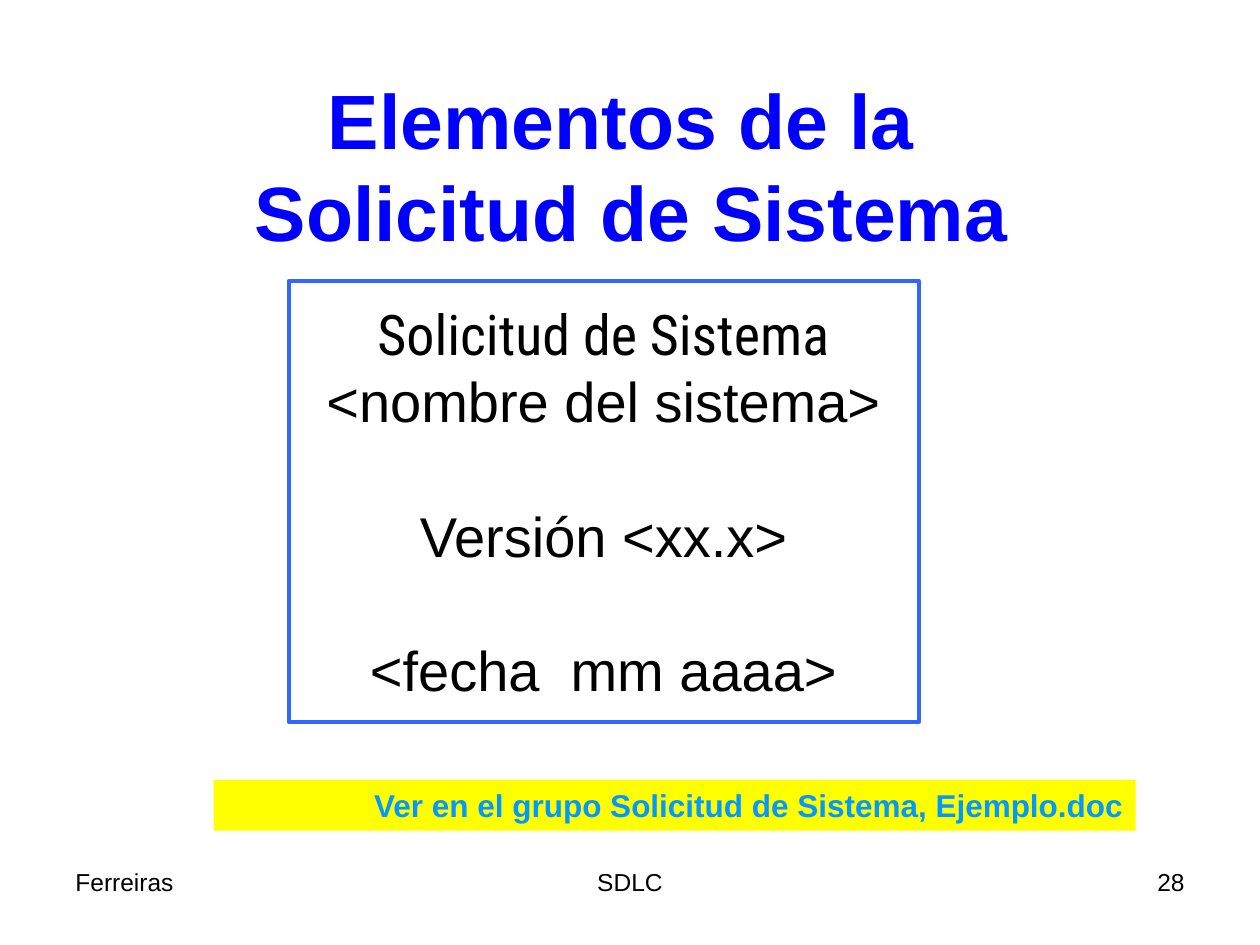
from dataclasses import dataclass
from typing import Optional

from pptx import Presentation
from pptx.dml.color import RGBColor
from pptx.enum.shapes import MSO_SHAPE as Preset
from pptx.enum.text import MSO_ANCHOR as Anchor, PP_ALIGN as Align
from pptx.util import Pt

COLORS = {
    "title": "0000FF",
    "text": "000000",
    "frame": "3366FF",
    "note": "0099FF",
    "note_fill": "FFFF00",
}
LINE_HEIGHT = 1.2


@dataclass(frozen=True)
class Line:
    text: str
    font: str = "Arial"
    gap_lines: int = 0


@dataclass(frozen=True)
class Block:
    left: float
    top: float
    width: float
    height: float
    lines: tuple[Line, ...]
    size: float
    color: str = "text"
    bold: bool = False
    align: Align = Align.CENTER
    anchor: Anchor = Anchor.TOP
    inset: tuple[float, float] = (7.2, 3.6)
    wrap: bool = True
    fill: Optional[str] = None
    border: Optional[str] = None


def rgb(name: str) -> RGBColor:
    return RGBColor.from_string(COLORS[name])


def add_line(paragraph, line: Line, block: Block) -> None:
    pitch = block.size * LINE_HEIGHT
    paragraph.alignment = block.align
    paragraph.line_spacing = Pt(pitch)
    paragraph.space_before = Pt(line.gap_lines * pitch)
    for index, part in enumerate(line.text.split("\n")):
        if index:
            paragraph.add_line_break()
        run = paragraph.add_run()
        run.text = part
        run.font.name = line.font
        run.font.size = Pt(block.size)
        run.font.bold = block.bold
        run.font.color.rgb = rgb(block.color)


def draw_block(slide, block: Block) -> None:
    bounds = [Pt(v) for v in (block.left, block.top, block.width, block.height)]
    if block.fill or block.border:
        shape = slide.shapes.add_shape(Preset.RECTANGLE, *bounds)
        shape.shadow.inherit = False
        if block.fill:
            shape.fill.solid()
            shape.fill.fore_color.rgb = rgb(block.fill)
        else:
            shape.fill.background()
        if block.border:
            shape.line.color.rgb = rgb(block.border)
            shape.line.width = Pt(2.25)
        else:
            shape.line.fill.background()
    else:
        shape = slide.shapes.add_textbox(*bounds)

    frame = shape.text_frame
    frame.word_wrap = block.wrap
    frame.vertical_anchor = block.anchor
    frame.margin_left = frame.margin_right = Pt(block.inset[0])
    frame.margin_top = frame.margin_bottom = Pt(block.inset[1])
    for index, line in enumerate(block.lines):
        paragraph = frame.add_paragraph() if index else frame.paragraphs[0]
        add_line(paragraph, line, block)


def footer(left: float, width: float, text: str, align: Align) -> Block:
    return Block(left, 492, width, 37.5, (Line(text),), 14, align=align)


BLOCKS = (
    Block(31, 49, 648, 90, (Line("Elementos de la\n Solicitud de Sistema"),), 44,
          color="title", bold=True, anchor=Anchor.MIDDLE),
    Block(165, 160.5, 360, 252,
          (Line("Solicitud de Sistema", font="Roboto Condensed"),
           Line("<nombre del sistema>"),
           Line("Versión <xx.x>", gap_lines=1),
           Line("<fecha  mm aaaa>", gap_lines=1)),
          32, anchor=Anchor.MIDDLE, inset=(21.6, 10.8), wrap=False, border="frame"),
    Block(122, 445.6, 527, 29, (Line("Ver en el grupo Solicitud de Sistema, Ejemplo.doc"),),
          18, color="note", bold=True, align=Align.RIGHT, fill="note_fill"),
    footer(246, 228, "SDLC", Align.CENTER),
    footer(516, 168, "28", Align.RIGHT),
    footer(36, 168, "Ferreiras", Align.LEFT),
)


def main() -> None:
    """Build the slide on the elements of a system request."""
    deck = Presentation()
    deck.slide_width, deck.slide_height = Pt(720), Pt(540)
    slide = deck.slides.add_slide(deck.slide_layouts[6])
    for block in BLOCKS:
        draw_block(slide, block)
    deck.save("out.pptx")


if __name__ == "__main__":
    main()
